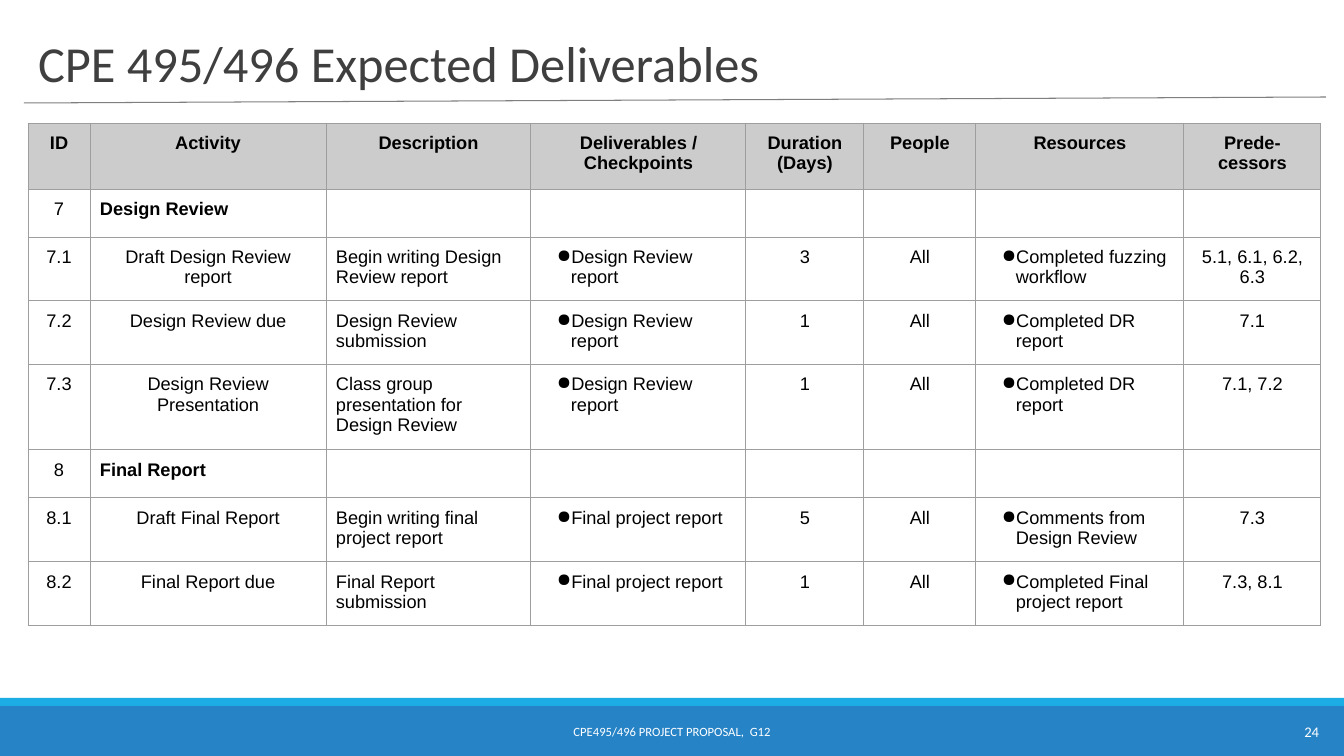
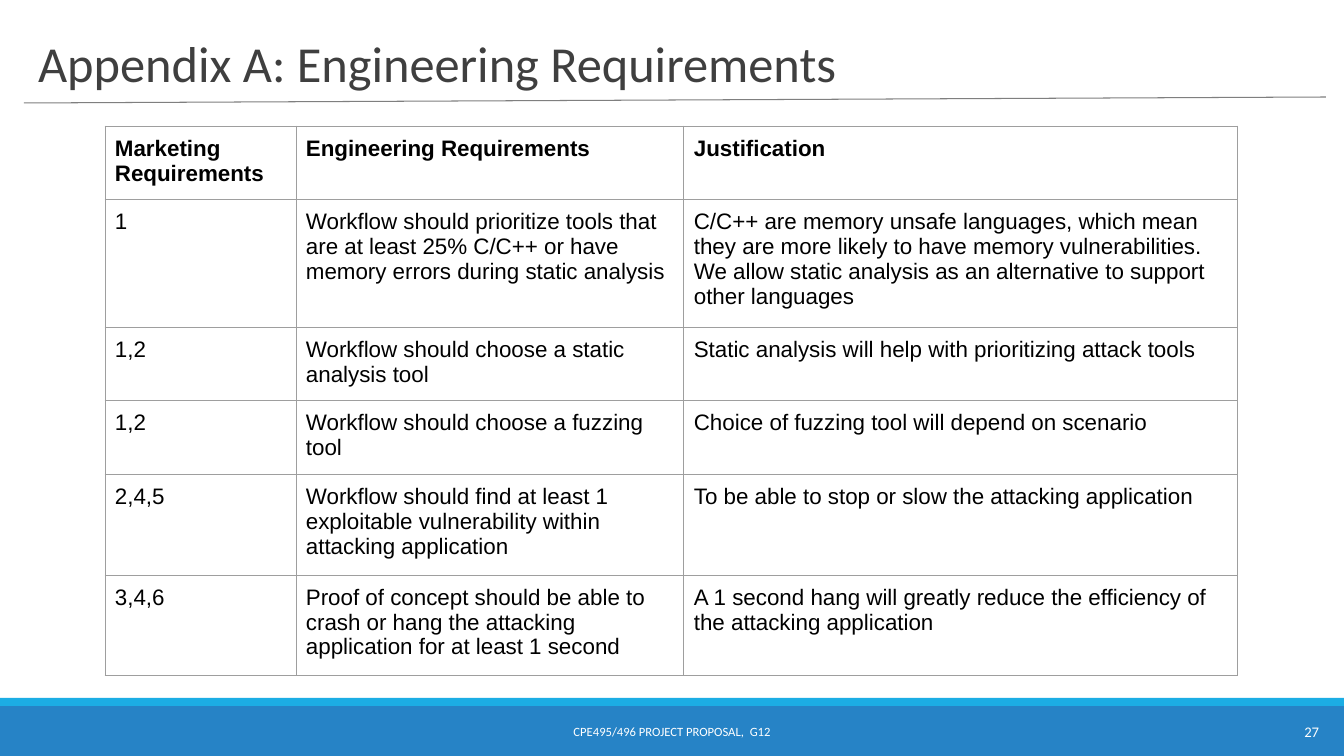
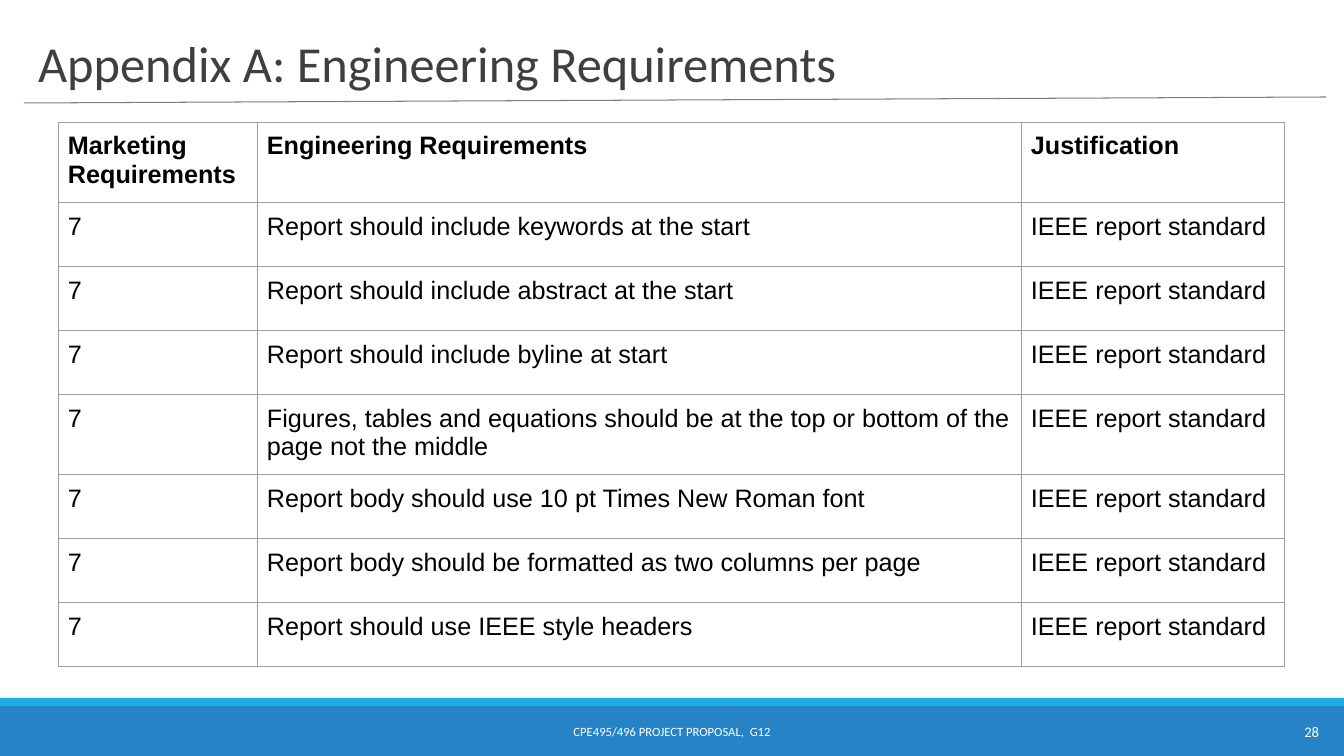
from lxml import etree
from pptx import Presentation
from pptx.dml.color import RGBColor
from pptx.enum.shapes import MSO_CONNECTOR, MSO_SHAPE
from pptx.enum.text import MSO_ANCHOR, MSO_AUTO_SIZE, PP_ALIGN
from pptx.oxml.ns import qn
from pptx.util import Emu, Pt

LEFT, MID, RIGHT = PP_ALIGN.LEFT, PP_ALIGN.CENTER, PP_ALIGN.RIGHT
CENTRE, BOTTOM = MSO_ANCHOR.MIDDLE, MSO_ANCHOR.BOTTOM
NO_FIT = MSO_AUTO_SIZE.NONE
RECT, STRAIGHT = MSO_SHAPE.RECTANGLE, MSO_CONNECTOR.STRAIGHT

WIDE, HIGH = 1344, 756
SCALE = 12192000 / WIDE
BLUE, CYAN, RULE = "2683C6", "1CADE4", "7F7F7F"
INK, BLACK, WHITE = "3F3F3F", "000000", "FFFFFF"
GREY, EDGE = "CCCCCC", "9E9E9E"
SANS, BODY = "Calibri", "Arial"
FOOTER = "CPE495/496 PROJECT PROPOSAL,  G12"
TITLE_ONLY = 5
PAD = 10

# Column kinds: c centred, l left, b bulleted
PLAN_KINDS = "cclbccbc"
PLAN = [
    ["ID", "Activity", "Description", "Deliverables / Checkpoints",
     "Duration (Days)", "People", "Resources", "Prede- cessors"],
    ["7", "Design Review"],
    ["7.1", "Draft Design Review report", "Begin writing Design Review report",
     "Design Review report", "3", "All", "Completed fuzzing workflow",
     "5.1, 6.1, 6.2, 6.3"],
    ["7.2", "Design Review due", "Design Review submission",
     "Design Review report", "1", "All", "Completed DR report", "7.1"],
    ["7.3", "Design Review Presentation",
     "Class group presentation for Design Review",
     "Design Review report", "1", "All", "Completed DR report", "7.1, 7.2"],
    ["8", "Final Report"],
    ["8.1", "Draft Final Report", "Begin writing final project report",
     "Final project report", "5", "All", "Comments from Design Review", "7.3"],
    ["8.2", "Final Report due", "Final Report submission",
     "Final project report", "1", "All", "Completed Final project report",
     "7.3, 8.1"],
]
NEEDS_HEAD = ["Marketing Requirements", "Engineering Requirements",
              "Justification"]
NEEDS = [
    NEEDS_HEAD,
    ["1", "Workflow should prioritize tools that are at least 25% C/C++ or "
     "have memory errors during static analysis",
     "C/C++ are memory unsafe languages, which mean they are more likely to "
     "have memory vulnerabilities. We allow static analysis as an "
     "alternative to support other languages"],
    ["1,2", "Workflow should choose a static analysis tool",
     "Static analysis will help with prioritizing attack tools"],
    ["1,2", "Workflow should choose a fuzzing tool",
     "Choice of fuzzing tool will depend on scenario"],
    ["2,4,5", "Workflow should find at least 1 exploitable vulnerability "
     "within attacking application",
     "To be able to stop or slow the attacking application"],
    ["3,4,6", "Proof of concept should be able to crash or hang the "
     "attacking application for at least 1 second",
     "A 1 second hang will greatly reduce the efficiency of the attacking "
     "application"],
]
REPORT = [
    "Report should include keywords at the start",
    "Report should include abstract at the start",
    "Report should include byline at start",
    "Figures, tables and equations should be at the top or bottom of the "
    "page not the middle",
    "Report body should use 10 pt Times New Roman font",
    "Report body should be formatted as two columns per page",
    "Report should use IEEE style headers",
]


def px(n):
    return Emu(round(n * SCALE))


def rgb(code):
    return RGBColor.from_string(code)


def add_run(para, text, size, font, color, bold=False):
    run = para.add_run()
    run.text = text
    face = run.font
    face.size, face.name, face.bold = Pt(size), font, bold
    face.color.rgb = rgb(color)


def add_band(slide, top, height, color):
    band = slide.shapes.add_shape(RECT, 0, px(top), px(WIDE), px(height))
    band.shadow.inherit = False
    band.fill.solid()
    band.fill.fore_color.rgb = rgb(color)
    band.line.fill.background()


def add_rule(slide, x1, y1, x2, y2):
    rule = slide.shapes.add_connector(STRAIGHT, px(x1), px(y1), px(x2), px(y2))
    rule.line.color.rgb = rgb(RULE)
    rule.line.width = Pt(0.75)
    etree.SubElement(rule._element.spPr, qn("a:effectLst"))


def add_note(slide, left, width, text, size, align):
    """Add white text on the bottom band."""
    box = slide.shapes.add_textbox(px(left), px(712), px(width), px(40))
    frame = box.text_frame
    frame.word_wrap = True
    frame.vertical_anchor = CENTRE
    para = frame.paragraphs[0]
    para.alignment = align
    add_run(para, text, size, SANS, WHITE)


def set_title(slide, text):
    title = slide.shapes.title
    title.left, title.top = px(28), px(11)
    title.width, title.height = px(1109), px(87)
    frame = title.text_frame
    frame.word_wrap = True
    frame.auto_size = NO_FIT
    frame.vertical_anchor = BOTTOM
    para = frame.paragraphs[0]
    para.alignment = LEFT
    para.line_spacing = 0.85
    add_run(para, text, 36, SANS, INK)


def new_slide(deck, title, number):
    """Add a slide with the shared bands, rule, title and footer."""
    slide = deck.slides.add_slide(deck.slide_layouts[TITLE_ONLY])
    add_band(slide, 706, 50, BLUE)
    add_band(slide, 698, 8, CYAN)
    add_rule(slide, 24, 103, 1326, 97)
    set_title(slide, title)
    add_note(slide, 406, 532, FOOTER, 9, MID)
    add_note(slide, 1284, 45, str(number), 10.5, RIGHT)
    return slide


def add_edges(cell):
    props = cell._tc.get_or_add_tcPr()
    for side in ("lnL", "lnR", "lnT", "lnB"):
        line = etree.SubElement(props, qn("a:" + side), w=str(Pt(0.75)))
        fill = etree.SubElement(line, qn("a:solidFill"))
        etree.SubElement(fill, qn("a:srgbClr"), val=EDGE)


def add_bullet(para):
    props = para._p.get_or_add_pPr()
    props.set("marL", str(px(30)))
    props.set("indent", str(px(-14)))
    color = etree.SubElement(props, qn("a:buClr"))
    etree.SubElement(color, qn("a:srgbClr"), val=BLACK)
    etree.SubElement(props, qn("a:buChar"), char="●")


def fill_cell(cell, text, size, kind, bold, back):
    add_edges(cell)
    cell.fill.solid()
    cell.fill.fore_color.rgb = rgb(back)
    cell.margin_left = cell.margin_right = px(PAD)
    cell.margin_top = cell.margin_bottom = px(PAD)
    para = cell.text_frame.paragraphs[0]
    para.alignment = MID if kind == "c" else LEFT
    if not text:
        etree.SubElement(para._p, qn("a:endParaRPr"), sz=str(size * 100))
        return
    if kind == "b":
        add_bullet(para)
    add_run(para, text, size, BODY, BLACK, bold)


def add_grid(slide, left, top, cols, heights, rows, size, kinds,
             head="l", back=WHITE):
    """Add a table; a row of two texts is a section row with a bold name."""
    shape = slide.shapes.add_table(len(rows), len(cols), px(left), px(top),
                                   px(sum(cols)), px(sum(heights)))
    table = shape.table
    table.first_row = table.horz_banding = False
    for col, width in zip(table.columns, cols):
        col.width = px(width)
    for r, (texts, height) in enumerate(zip(rows, heights)):
        table.rows[r].height = px(height)
        section = len(texts) == 2
        texts = texts + [""] * (len(cols) - len(texts))
        for c, text in enumerate(texts):
            name = section and c == 1
            kind = head if r == 0 else "l" if name else kinds[c]
            fill_cell(table.cell(r, c), text, size, kind, r == 0 or name,
                      back if r == 0 else WHITE)


def main():
    deck = Presentation()
    deck.slide_width, deck.slide_height = px(WIDE), px(HIGH)

    slide = new_slide(deck, "CPE 495/496 Expected Deliverables", 24)
    add_grid(slide, 28, 123, [62, 236, 205, 215, 118, 112, 208, 137],
             [66, 48, 61, 61, 81, 48, 61, 60], PLAN, 13, PLAN_KINDS,
             "c", GREY)

    appendix = "Appendix A: Engineering Requirements"
    slide = new_slide(deck, appendix, 27)
    add_grid(slide, 105, 126, [191, 388, 554], [70, 120, 70, 70, 94, 94],
             NEEDS, 16, "lll")

    slide = new_slide(deck, appendix, 28)
    rows = [NEEDS_HEAD] + [["7", text, "IEEE report standard"]
                           for text in REPORT]
    add_grid(slide, 58, 122, [199, 764, 264],
             [77, 64, 64, 64, 77, 64, 64, 64], rows, 18, "lll")

    deck.save("out.pptx")


if __name__ == "__main__":
    main()
